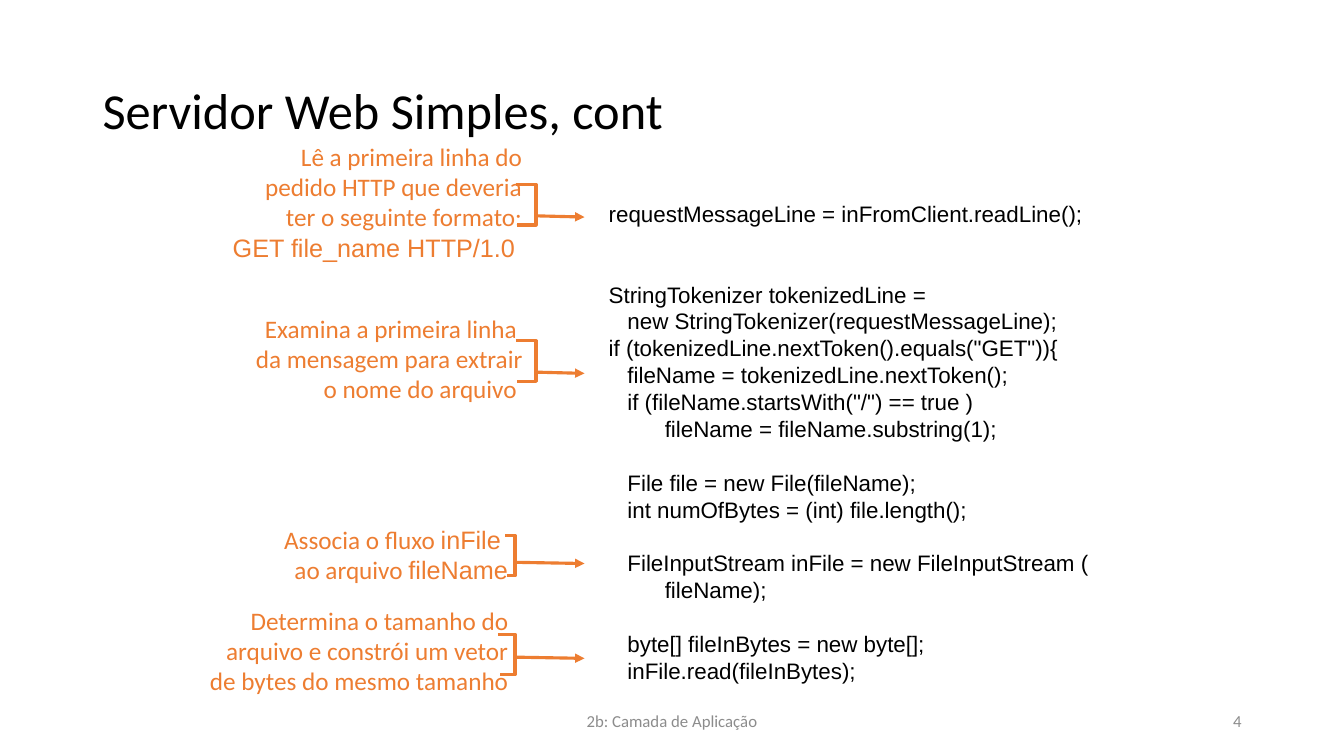
"""Build the slide on a simple web server, with notes beside its code."""
from lxml import etree
from pptx import Presentation
from pptx.dml.color import RGBColor
from pptx.enum.shapes import MSO_CONNECTOR
from pptx.enum.text import MSO_ANCHOR, PP_ALIGN
from pptx.oxml.ns import qn
from pptx.util import Cm, Pt

LEFT, CENTER, RIGHT = PP_ALIGN.LEFT, PP_ALIGN.CENTER, PP_ALIGN.RIGHT
MIDDLE = MSO_ANCHOR.MIDDLE
STRAIGHT = MSO_CONNECTOR.STRAIGHT
COLORS = {"text": "000000", "note": "ED7D31", "foot": "8C8C8C"}
SANS, CODE = "Calibri", "Arial"
SPACE = 0.157
PITCH = Pt(19.2)


def write(shape, lines, size, color, align, wrap=True):
    """Fill a shape with lines, each a list of (text, font) runs."""
    frame = shape.text_frame
    for name, value in {"word_wrap": wrap, "vertical_anchor": MIDDLE}.items():
        setattr(frame, name, value)
    for n, line in enumerate(lines):
        para = frame.add_paragraph() if n else frame.paragraphs[0]
        para.alignment = align
        for text, face in line:
            run = para.add_run()
            run.text = text
            form = {"name": face, "size": Pt(size), "bold": False}
            for name, value in form.items():
                setattr(run.font, name, value)
            run.font.color.rgb = RGBColor.from_string(COLORS[color])
    return frame.paragraphs


def stroke(shape):
    """Give a shape a plain note-coloured line."""
    shape.line.color.rgb = RGBColor.from_string(COLORS["note"])
    shape.line.width = Pt(2.25)


deck = Presentation()
deck.slide_width, deck.slide_height = Cm(33.87), Cm(19.05)
slide = deck.slides.add_slide(deck.slide_layouts[5])
shapes = slide.shapes

title = shapes.title
place = {"left": Cm(2.33), "top": Cm(1.01), "width": Cm(29.21), "height": Cm(3.68)}
for name, value in place.items():
    setattr(title, name, value)
head = write(title, [[("Servidor Web Simples, cont", SANS)]], 36, "text", LEFT)
head[0].line_spacing = 0.9

feet = [
    ("2b: Camada de Aplicação", 11.22, 11.43, CENTER),
    ("4", 23.92, 7.62, RIGHT),
]
for text, left, width, align in feet:
    foot = shapes.add_textbox(Cm(left), Cm(17.66), Cm(width), Cm(1.01))
    write(foot, [[(text, SANS)]], 12, "foot", align)

# Each row holds the indent in spaces, the blank lines above and the text.
code = [
    (6, 0, "requestMessageLine = inFromClient.readLine();"),
    (6, 2, "StringTokenizer tokenizedLine ="),
    (9, 0, "new StringTokenizer(requestMessageLine);"),
    (6, 0, 'if (tokenizedLine.nextToken().equals("GET")){'),
    (9, 0, "fileName = tokenizedLine.nextToken();"),
    (9, 0, 'if (fileName.startsWith("/") == true )'),
    (15, 0, "fileName = fileName.substring(1);"),
    (9, 1, "File file = new File(fileName);"),
    (9, 0, "int numOfBytes = (int) file.length();"),
    (9, 1, "FileInputStream inFile = new FileInputStream ("),
    (15, 0, "fileName);"),
    (9, 1, "byte[] fileInBytes = new byte[];"),
    (9, 0, "inFile.read(fileInBytes);"),
]
box = shapes.add_textbox(Cm(14.15), Cm(4.9), Cm(13.8), Cm(12.47))
lines = [[(text, CODE)] for _, _, text in code]
paras = write(box, lines, 16, "text", LEFT)
for para, (indent, gap, _) in zip(paras, code):
    para.line_spacing = PITCH
    para.space_before = gap * PITCH
    para._p.get_or_add_pPr().set("marL", str(Cm(indent * SPACE)))

# Each note holds its box, its bracket (start, edge, top), its arrow drop and its lines.
notes = [
    ((5.51, 3.43, 7.9, 3.3), (13, 13.51, 4.65), 0.79, [
        [("Lê a primeira linha do", SANS)],
        [("pedido HTTP que deveria", SANS)],
        [("ter o seguinte formato:", SANS)],
        [("GET file_name HTTP/1.0 ", CODE)],
    ]),
    ((6.12, 7.75, 7.3, 2.57), (13, 13.51, 8.59), 0.79, [
        [("Examina a primeira linha ", SANS)],
        [("da mensagem para extrair", SANS)],
        [("o nome do arquivo ", SANS)],
    ]),
    ((6.88, 13.08, 6.17, 1.8), (12.73, 12.98, 13.49), 0.68, [
        [("Associa o fluxo ", SANS), ("inFile ", CODE)],
        [("ao arquivo ", SANS), ("fileName", CODE)],
    ]),
    ((4.93, 15.11, 8.13, 2.57), (12.55, 12.98, 15.98), 0.58, [
        [("Determina o tamanho do", SANS)],
        [("arquivo e constrói um vetor", SANS)],
        [("de bytes do mesmo tamanho", SANS)],
    ]),
]
for area, (start, edge, top), drop, lines in notes:
    group = shapes.add_group_shape().shapes
    label = group.add_textbox(*map(Cm, area))
    write(label, lines, 18, "note", RIGHT, False)

    low = top + 1.02
    pen = group.build_freeform(Cm(start), Cm(top))
    points = [(edge, top), (edge, low), (start + 0.04, low)]
    pen.add_line_segments([(Cm(x), Cm(y)) for x, y in points], close=False)
    brace = pen.convert_to_shape()
    brace.shadow.inherit = False
    brace.fill.background()
    stroke(brace)

    level = top + drop
    ends = (edge + 0.05, level, 14.73, level + 0.03)
    arrow = group.add_connector(STRAIGHT, *map(Cm, ends))
    stroke(arrow)
    etree.SubElement(arrow.line._get_or_add_ln(), qn("a:tailEnd"), type="triangle")
    etree.SubElement(arrow._element.spPr, qn("a:effectLst"))

deck.save("out.pptx")
